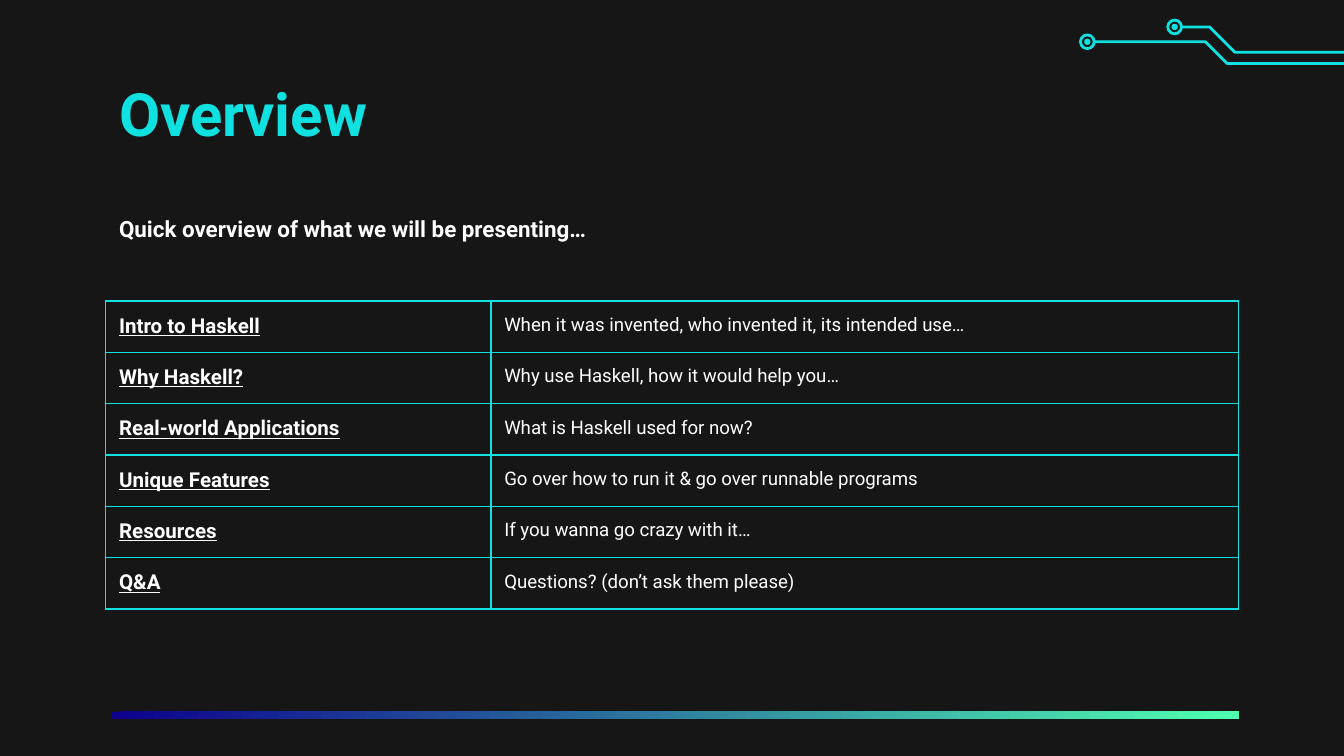
from dataclasses import dataclass

from lxml import etree
from pptx import Presentation
from pptx.dml.color import RGBColor
from pptx.enum import shapes, text
from pptx.oxml import ns
from pptx import util as u

DARK, CYAN, WHITE = "161616", "0FE0E0", "FFFFFF"
BLUE, GREEN = "0D008E", "50FFB0"
FONT = "Roboto"
LEFT, WIDTH = 2.0, 21.41
COLUMN_WIDTHS = (7.28, 14.13)
ROW_HEIGHT = 0.97
INSET = 0.25
LINE_WIDTH = 1.5
UNITS_PER_CM = 100  # freeform points are whole numbers

TITLE = {"size": u.Pt(32), "bold": True}
SUBTITLE = {"size": u.Pt(12), "bold": True}
TOPIC = {"size": u.Pt(11), "bold": True, "underline": True}
DETAIL = {"size": u.Pt(10), "bold": False}


@dataclass
class Topic:
    name: str
    detail: str
    space_after: int = 0


@dataclass
class Trace:
    """A circuit line that starts at a ring; lengths in centimetres."""
    ring: tuple
    points: list


TOPICS = [
    Topic("Intro to Haskell", "When it was invented, who invented it, its intended use…", 16),
    Topic("Why Haskell?", "Why use Haskell, how it would help you…", 16),
    Topic("Real-world Applications", "What is Haskell used for now?", 16),
    Topic("Unique Features", "Go over how to run it & go over runnable programs", 16),
    Topic("Resources", "If you wanna go crazy with it…"),
    Topic("Q&A", "Questions? (don’t ask them please)"),
]
TRACES = [
    Trace((20.55, 0.79), [(20.68, 0.79), (22.78, 0.79), (23.19, 1.2), (25.48, 1.2)]),
    Trace((22.2, 0.51), [(22.33, 0.51), (22.86, 0.51), (23.34, 0.99), (25.48, 0.99)]),
]


def color(value: str) -> RGBColor:
    return RGBColor.from_string(value)


def write(frame, content: str, formats: dict, hue: str = WHITE):
    """Put one left-aligned run into a text frame."""
    para = frame.paragraphs[0]
    para.alignment = text.PP_ALIGN.LEFT
    span = para.add_run()
    span.text = content
    for name, value in {"name": FONT, **formats}.items():
        setattr(span.font, name, value)
    span.font.color.rgb = color(hue)
    return para


def set_frame(box, top: float, height: float) -> None:
    """Place a heading box and give it margins and a middle anchor."""
    box.left, box.top, box.width, box.height = map(u.Cm, (LEFT, top, WIDTH, height))
    frame = box.text_frame
    formats = {"word_wrap": True, "auto_size": text.MSO_AUTO_SIZE.NONE,
               "vertical_anchor": text.MSO_ANCHOR.MIDDLE}
    for side in ("left", "right", "top", "bottom"):
        formats[f"margin_{side}"] = u.Cm(INSET)
    for name, value in formats.items():
        setattr(frame, name, value)


def outline(shape) -> None:
    shape.shadow.inherit = False
    shape.fill.background()
    shape.line.color.rgb = color(CYAN)
    shape.line.width = u.Pt(LINE_WIDTH)


def add_circle(page, center: tuple, diameter: float):
    x, y = (value - diameter / 2 for value in center)
    return page.shapes.add_shape(shapes.MSO_SHAPE.OVAL, u.Cm(x), u.Cm(y),
                                 u.Cm(diameter), u.Cm(diameter))


def draw_trace(page, trace: Trace) -> None:
    start, *bends = [(round(x * UNITS_PER_CM), round(y * UNITS_PER_CM))
                     for x, y in trace.points]
    builder = page.shapes.build_freeform(*start, scale=u.Cm(1) / UNITS_PER_CM)
    builder.add_line_segments(bends, close=False)
    outline(builder.convert_to_shape())
    outline(add_circle(page, trace.ring, 0.26))
    dot = add_circle(page, trace.ring, 0.12)
    dot.shadow.inherit = False
    dot.fill.solid()
    dot.fill.fore_color.rgb = color(CYAN)
    dot.line.fill.background()


def add_borders(cell, hue: str, width: float) -> None:
    props = cell._tc.get_or_add_tcPr()
    for index, side in enumerate(("a:lnL", "a:lnR", "a:lnT", "a:lnB")):
        line = etree.Element(ns.qn(side), w=str(u.Pt(width)))
        fill = etree.SubElement(line, ns.qn("a:solidFill"))
        etree.SubElement(fill, ns.qn("a:srgbClr"), val=hue)
        props.insert(index, line)


def fill_cell(cell, content: str, formats: dict, space_after: int = 0) -> None:
    for side in ("left", "right", "top", "bottom"):
        setattr(cell, f"margin_{side}", u.Cm(INSET))
    para = write(cell.text_frame, content, formats)
    if space_after:
        para.space_after = u.Pt(space_after)
    cell.fill.background()
    add_borders(cell, CYAN, 0.75)


def draw_table(page, topics: list) -> None:
    table = page.shapes.add_table(
        len(topics), len(COLUMN_WIDTHS), u.Cm(LEFT), u.Cm(5.69),
        u.Cm(WIDTH), u.Cm(ROW_HEIGHT * len(topics))).table
    table.first_row = table.horz_banding = False
    for column, width in zip(table.columns, COLUMN_WIDTHS):
        column.width = u.Cm(width)
    for index, topic in enumerate(topics):
        table.rows[index].height = u.Cm(ROW_HEIGHT)
        fill_cell(table.cell(index, 0), topic.name, TOPIC)
        fill_cell(table.cell(index, 1), topic.detail, DETAIL, topic.space_after)


def draw_bar(page) -> None:
    bar = page.shapes.add_shape(shapes.MSO_SHAPE.RECTANGLE, u.Cm(2.1), u.Cm(13.45),
                                u.Cm(21.31), u.Cm(0.14))
    bar.shadow.inherit = False
    bar.line.fill.background()
    bar.fill.gradient()
    bar.fill.gradient_angle = 345
    for stop, hue, position in zip(bar.fill.gradient_stops, (BLUE, GREEN), (0, 1)):
        stop.color.rgb = color(hue)
        stop.position = position


def main() -> None:
    deck = Presentation()
    deck.slide_width, deck.slide_height = u.Cm(25.4), u.Cm(14.29)
    page = deck.slides.add_slide(deck.slide_layouts[5])
    page.background.fill.solid()
    page.background.fill.fore_color.rgb = color(DARK)

    # Gradient bar at the foot
    draw_bar(page)

    # Headings
    title = page.shapes.title
    set_frame(title, 1.5, 1.27)
    write(title.text_frame, "Overview", TITLE, CYAN)
    subtitle = page.shapes.add_textbox(0, 0, 0, 0)
    set_frame(subtitle, 3.6, 1.45)
    write(subtitle.text_frame, "Quick overview of what we will be presenting…", SUBTITLE)

    # Circuit lines in the corner
    for trace in TRACES:
        draw_trace(page, trace)

    # Agenda
    draw_table(page, TOPICS)
    deck.save("out.pptx")


if __name__ == "__main__":
    main()
